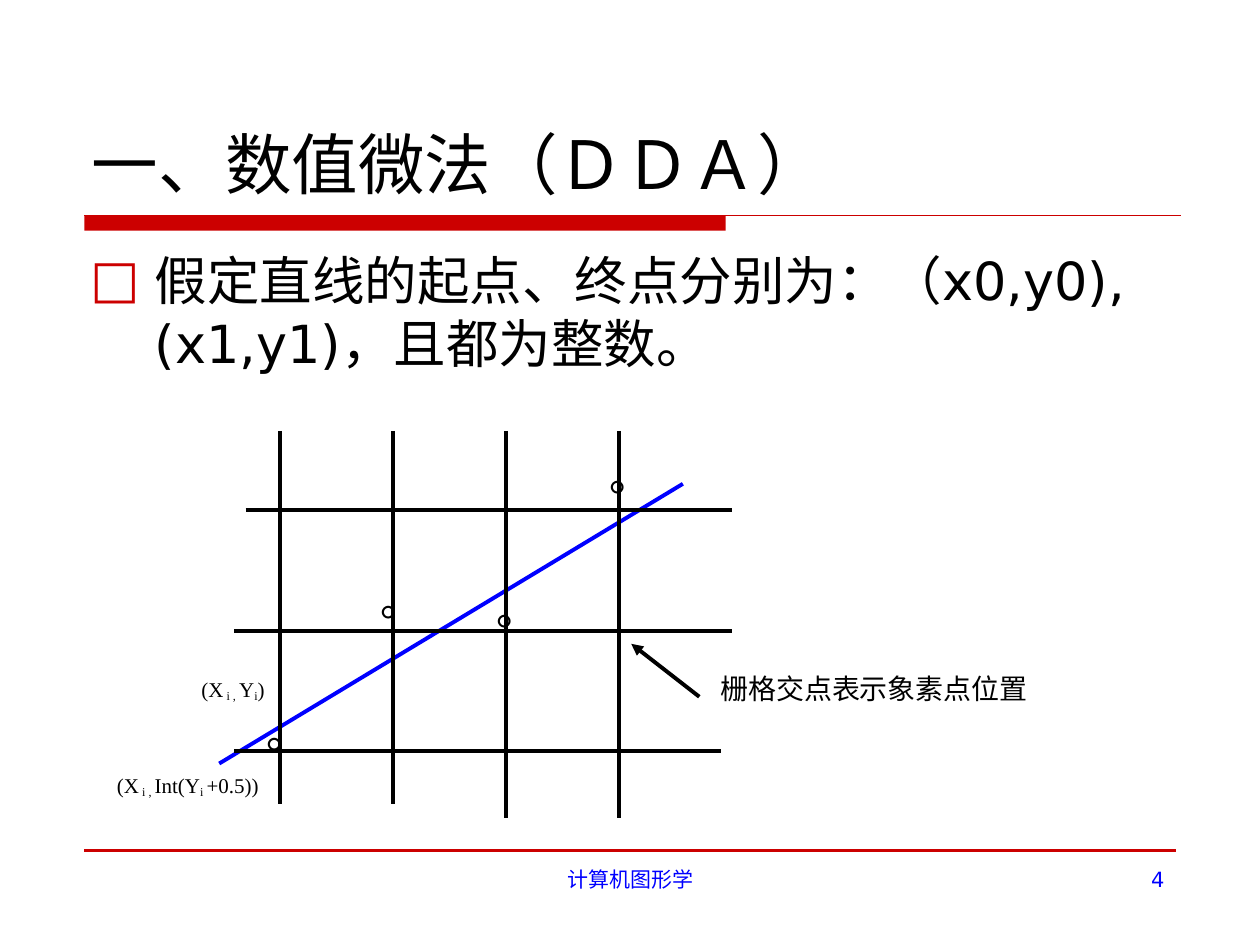
from lxml import etree
from pptx import Presentation
from pptx.dml.color import RGBColor
from pptx.enum import shapes, text
from pptx.oxml import ns
from pptx.util import Inches, Pt

RED, BLUE, BLACK = "CC0000", "0000FF", "000000"
SANS, SERIF = "DejaVu Sans", "Times New Roman"


def color(value):
    """Turn a hex string into a colour."""
    return RGBColor.from_string(value)


def add_child(parent, tag, **attributes):
    """Append a drawing element to an XML parent."""
    return etree.SubElement(parent, ns.qn(tag), attributes)


def add_line(slide, start, end, ink=BLACK, width=2.25, arrow=False):
    """Draw a straight line between two points in inches."""
    line = slide.shapes.add_connector(
        shapes.MSO_CONNECTOR.STRAIGHT, *(Inches(v) for v in (*start, *end)))
    line.line.color.rgb = color(ink)
    line.line.width = Pt(width)
    if arrow:
        add_child(line.line._ln, "a:tailEnd", type="triangle")
    add_child(line._element.spPr, "a:effectLst")


def write(paragraph, runs, size, font=SANS, ink=BLACK):
    """Write (words, is_subscript) runs in one format."""
    for words, lowered in runs:
        run = paragraph.add_run()
        run.text = words
        for name, value in {"size": Pt(size), "name": font}.items():
            setattr(run.font, name, value)
        run.font.color.rgb = color(ink)
        if lowered:
            run.font._element.set("baseline", "-14000")


def add_text(slide, box, runs, size, font=SANS, ink=BLACK, align="LEFT", wrap=True):
    """Place a one-paragraph text box."""
    frame = slide.shapes.add_textbox(*map(Inches, box)).text_frame
    frame.word_wrap = wrap
    paragraph = frame.paragraphs[0]
    paragraph.alignment = getattr(text.PP_ALIGN, align)
    write(paragraph, runs, size, font, ink)
    return paragraph


def add_bullet(paragraph, mark, indent):
    """Give a paragraph a hanging coloured bullet."""
    properties = paragraph._p.get_or_add_pPr()
    properties.set("marL", str(Inches(indent)))
    properties.set("indent", str(-Inches(indent)))
    tint = add_child(properties, "a:buClr")
    add_child(tint, "a:srgbClr", val=RED)
    add_child(properties, "a:buFont", typeface=SANS)
    add_child(properties, "a:buChar", char=mark)


def set_title(slide, words):
    """Move, format and fill the title placeholder."""
    title = slide.shapes.title
    place = {"left": 0.63, "top": 0.33, "width": 8.75, "height": 1.33}
    for name, value in place.items():
        setattr(title, name, Inches(value))
    frame = title.text_frame
    layout = {"vertical_anchor": text.MSO_ANCHOR.BOTTOM,
              "auto_size": text.MSO_AUTO_SIZE.NONE, "word_wrap": True}
    for name, value in layout.items():
        setattr(frame, name, value)
    frame.paragraphs[0].alignment = text.PP_ALIGN.LEFT
    write(frame.paragraphs[0], [(words, False)], 38)


def add_rules(slide):
    """Draw the red bar under the title and the footer line."""
    bar = slide.shapes.add_shape(
        shapes.MSO_SHAPE.RECTANGLE, *map(Inches, (0.67, 1.71, 5.09, 0.12)))
    bar.shadow.inherit = False
    bar.fill.solid()
    bar.fill.fore_color.rgb = color(RED)
    bar.line.fill.background()
    add_line(slide, (0.67, 1.71), (9.37, 1.71), RED, 0.75)
    add_line(slide, (0.67, 6.75), (9.33, 6.75), RED)


def add_grid(slide):
    """Draw the raster grid, the ideal line and the chosen pixels."""
    add_line(slide, (1.74, 6.06), (5.42, 3.84), BLUE)
    for row, (left, right) in enumerate([(1.95, 5.81), (1.86, 5.81), (1.86, 5.72)]):
        y = 4.05 + 0.955 * row
        add_line(slide, (left, y), (right, y))
    for column, bottom in enumerate([6.38, 6.38, 6.49, 6.49]):
        x = 2.22 + 0.898 * column
        add_line(slide, (x, 3.42), (x, bottom))
    for left, top in [(2.02, 5.56), (2.92, 4.51), (3.84, 4.58), (4.74, 3.52)]:
        add_text(slide, (left, top, 0.53, 0.5), [("。", False)], 24, SERIF, wrap=False)


def add_labels(slide):
    """Name the grid points and explain the intersections."""
    x_part = [("(X", False), (" i , ", True)]
    rounded = x_part + [("Int(Y", False), ("i ", True), ("+0.5))", False)]
    exact = x_part + [("Y", False), ("i", True), (")", False)]
    add_text(slide, (0.83, 6.08, 1.62, 0.31), rounded, 12, SERIF)
    add_text(slide, (1.5, 5.32, 1.35, 0.31), exact, 12, SERIF)
    add_line(slide, (5.55, 5.53), (5.01, 5.11), arrow=True)
    add_text(slide, (5.62, 5.28, 2.64, 0.37),
             [("栅格交点表示象素点位置", False)], 16, SERIF, wrap=False)


def main():
    """Build the slide and save it."""
    deck = Presentation()
    deck.slide_width, deck.slide_height = Inches(10), Inches(7.5)
    slide = deck.slides.add_slide(deck.slide_layouts[5])
    add_rules(slide)
    add_text(slide, (3.42, 6.83, 3.17, 0.52), [("计算机图形学", False)], 12,
             ink=BLUE, align="CENTER")
    add_text(slide, (7.17, 6.83, 2.17, 0.52), [("4", False)], 12,
             ink=BLUE, align="RIGHT")
    set_title(slide, "一、数值微法（ＤＤＡ）")
    premise = add_text(
        slide, (0.62, 1.92, 8.75, 4.67),
        [("假定直线的起点、终点分别为：（x0,y0), (x1,y1)，且都为整数。", False)], 30)
    add_bullet(premise, "□", 0.51)
    add_grid(slide)
    add_labels(slide)
    deck.save("out.pptx")


if __name__ == "__main__":
    main()
